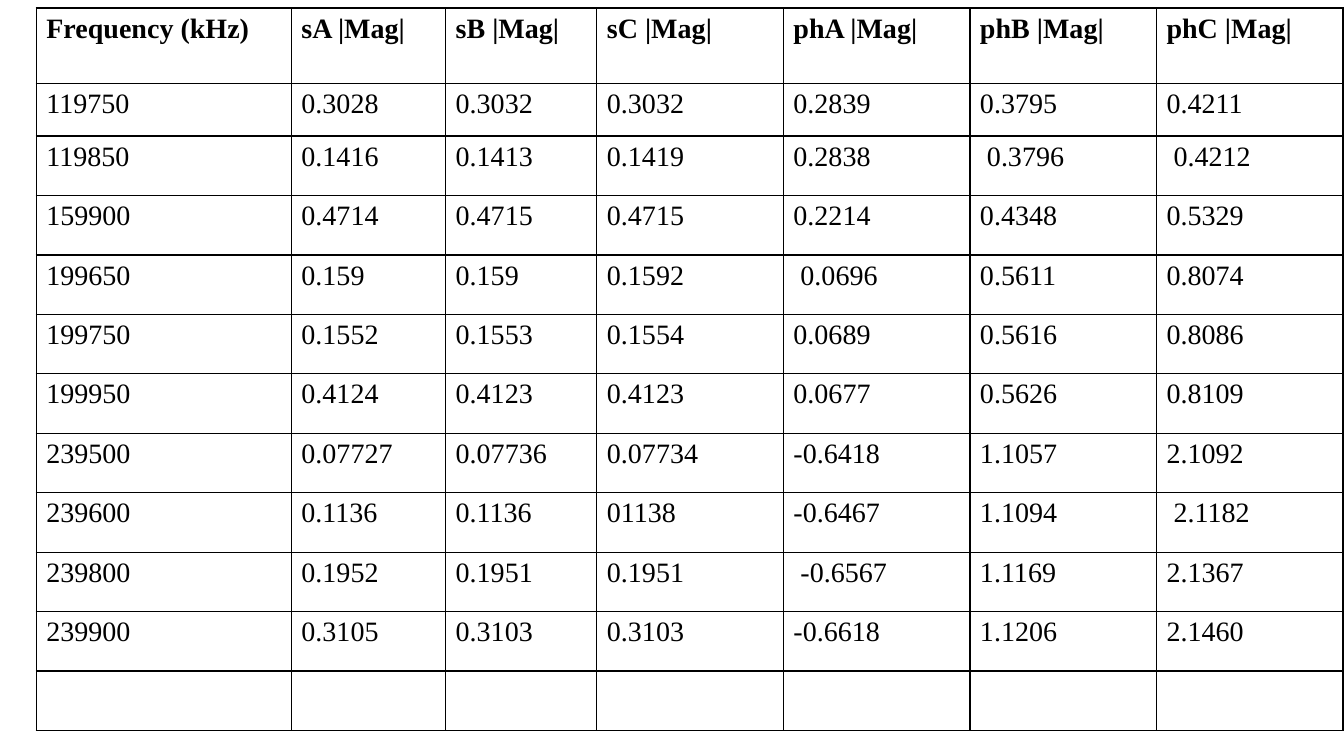
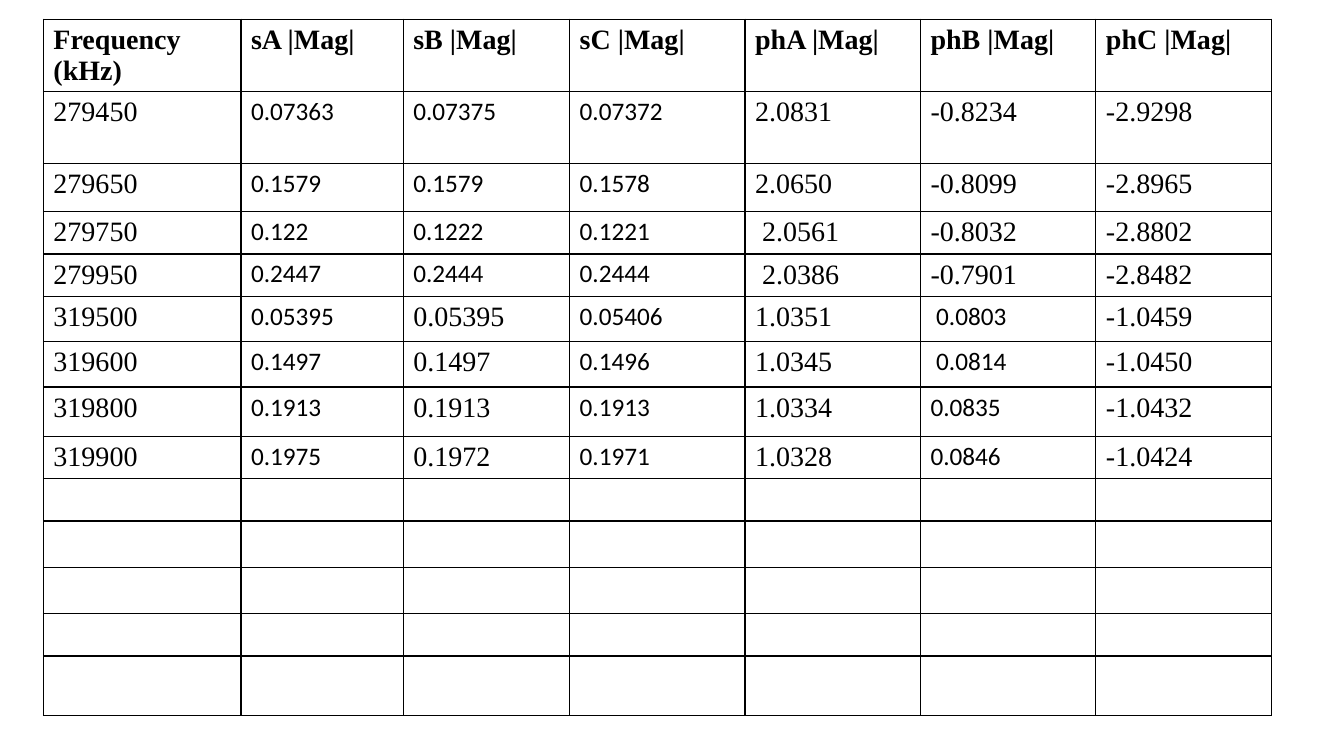
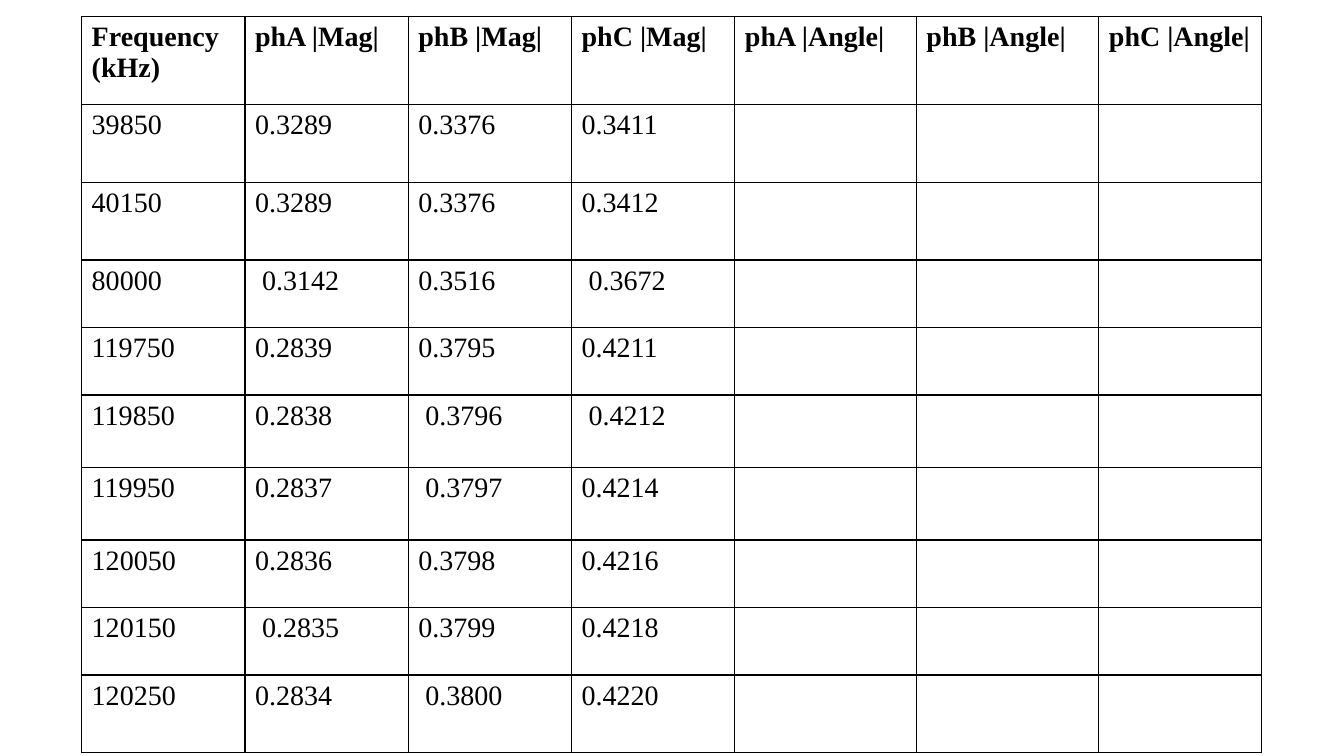
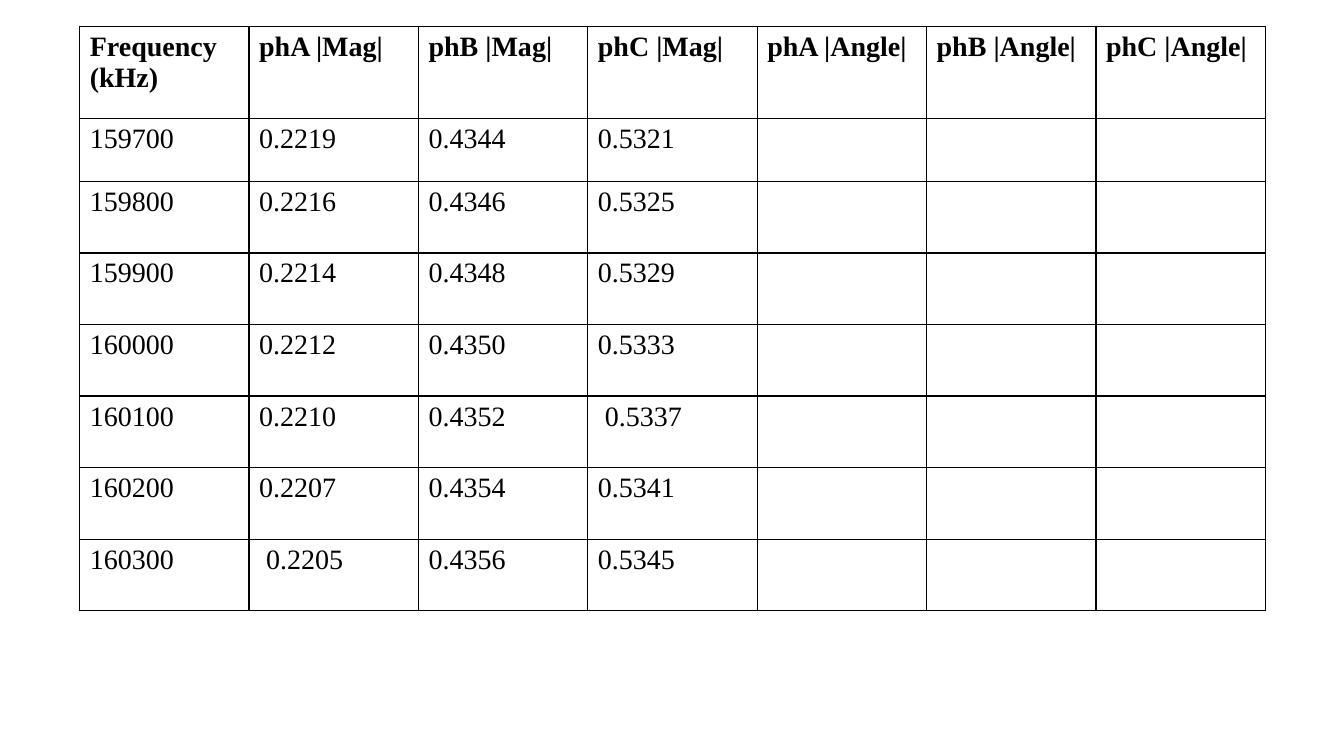
from lxml import etree
from pptx import Presentation
from pptx.dml.color import RGBColor
from pptx.oxml.ns import qn
from pptx.util import Inches, Pt

BLACK = "000000"
SERIF = ("Times New Roman", 20)
SANS = ("Calibri", 18)
BORDER_WIDTH = Pt(1)

SIGNAL_HEADINGS = "sA |Mag|,sB |Mag|,sC |Mag|,phA |Mag|,phB |Mag|,phC |Mag|"
PHASE_HEADINGS = "phA |Mag|,phB |Mag|,phC |Mag|,phA |Angle|,phB |Angle|,phC |Angle|"

SIGNALS_TO_240 = [
    "Frequency (kHz)," + SIGNAL_HEADINGS,
    "119750,0.3028,0.3032,0.3032,0.2839,0.3795,0.4211",
    "119850,0.1416,0.1413,0.1419,0.2838, 0.3796, 0.4212",
    "159900,0.4714,0.4715,0.4715,0.2214,0.4348,0.5329",
    "199650,0.159,0.159,0.1592, 0.0696,0.5611,0.8074",
    "199750,0.1552,0.1553,0.1554,0.0689,0.5616,0.8086",
    "199950,0.4124,0.4123,0.4123,0.0677,0.5626,0.8109",
    "239500,0.07727,0.07736,0.07734,-0.6418,1.1057,2.1092",
    "239600,0.1136,0.1136,01138,-0.6467,1.1094, 2.1182",
    "239800,0.1952,0.1951,0.1951, -0.6567,1.1169,2.1367",
    "239900,0.3105,0.3103,0.3103,-0.6618,1.1206,2.1460",
]
SIGNALS_TO_320 = [
    "Frequency\n(kHz)," + SIGNAL_HEADINGS,
    "279450,0.07363,0.07375,0.07372,2.0831,-0.8234,-2.9298",
    "279650,0.1579,0.1579,0.1578,2.0650,-0.8099,-2.8965",
    "279750,0.122,0.1222,0.1221, 2.0561,-0.8032,-2.8802",
    "279950,0.2447,0.2444,0.2444, 2.0386,-0.7901,-2.8482",
    "319500,0.05395,0.05395,0.05406,1.0351, 0.0803,-1.0459",
    "319600,0.1497,0.1497,0.1496,1.0345, 0.0814,-1.0450",
    "319800,0.1913,0.1913,0.1913,1.0334,0.0835,-1.0432",
    "319900,0.1975,0.1972,0.1971,1.0328,0.0846,-1.0424",
]
PHASES_TO_120 = [
    "Frequency\n(kHz)," + PHASE_HEADINGS,
    "39850,0.3289,0.3376,0.3411",
    "40150,0.3289,0.3376,0.3412",
    "80000, 0.3142,0.3516, 0.3672",
    "119750,0.2839,0.3795,0.4211",
    "119850,0.2838, 0.3796, 0.4212",
    "119950,0.2837, 0.3797,0.4214",
    "120050,0.2836,0.3798,0.4216",
    "120150, 0.2835,0.3799,0.4218",
    "120250,0.2834, 0.3800,0.4220",
]
PHASES_TO_160 = [
    "Frequency\n(kHz)," + PHASE_HEADINGS,
    "159700,0.2219,0.4344,0.5321",
    "159800,0.2216,0.4346,0.5325",
    "159900,0.2214,0.4348,0.5329",
    "160000,0.2212,0.4350,0.5333",
    "160100,0.2210,0.4352, 0.5337",
    "160200,0.2207,0.4354,0.5341",
    "160300, 0.2205,0.4356,0.5345",
]


def color(hex_string):
    return RGBColor.from_string(hex_string)


def style_cell(cell):
    """Give the cell a thin border on every side and no fill."""
    properties = cell._tc.get_or_add_tcPr()
    for side in ("lnL", "lnR", "lnT", "lnB"):
        line = etree.SubElement(properties, qn(f"a:{side}"), w=str(BORDER_WIDTH))
        fill = etree.SubElement(line, qn("a:solidFill"))
        etree.SubElement(fill, qn("a:srgbClr"), val=BLACK)
    cell.fill.background()


def write_cell(cell, text, typeface, bold):
    frame = cell.text_frame
    for index, line in enumerate(text.split("\n")):
        paragraph = frame.add_paragraph() if index else frame.paragraphs[0]
        run = paragraph.add_run()
        run.text = line
        run.font.name, size = typeface
        run.font.size = Pt(size)
        run.font.bold = bold
        run.font.color.rgb = color(BLACK)


def all_serif(row, column):
    return SERIF


def mixed_typeface(row, column):
    """Sans for the signal columns at 279 MHz and for alternate columns at 319 MHz."""
    sans_columns = () if row == 0 else (1, 2, 3) if row <= 4 else (1, 3, 5)
    return SANS if column in sans_columns else SERIF


def add_table_slide(presentation, left, top, widths, heights, lines, typeface_at=all_serif):
    """Add a slide with one table; rows and cells without text stay empty."""
    slide = presentation.slides.add_slide(presentation.slide_layouts[6])
    table = slide.shapes.add_table(
        len(heights), len(widths), Inches(left), Inches(top),
        Inches(sum(widths)), Inches(sum(heights))).table
    table.first_row = table.horz_banding = False
    for column, width in zip(table.columns, widths):
        column.width = Inches(width)
    for row, height in zip(table.rows, heights):
        row.height = Inches(height)
    for cell in table.iter_cells():
        style_cell(cell)
    for row, line in enumerate(lines):
        for column, text in enumerate(line.split(",")):
            write_cell(table.cell(row, column), text, typeface_at(row, column), row == 0)


def main():
    presentation = Presentation()
    presentation.slide_width = Inches(13.33)
    presentation.slide_height = Inches(7.5)
    add_table_slide(presentation, 0.36, 0.08, [2.53, 1.53, 1.5] + [1.85] * 4,
                    [0.75, 0.52] + [0.59] * 10, SIGNALS_TO_240)
    add_table_slide(presentation, 0.43, 0.19, [1.96, 1.61, 1.65] + [1.74] * 4,
                    [0.72, 0.71, 0.48, 0.42, 0.42, 0.45, 0.45, 0.49,
                     0.42, 0.42, 0.46, 0.46, 0.42, 0.59],
                    SIGNALS_TO_320, mixed_typeface)
    add_table_slide(presentation, 0.81, 0.16, [1.62] * 4 + [1.8, 1.81, 1.61],
                    [0.88, 0.77, 0.77, 0.67, 0.67, 0.72, 0.72, 0.67, 0.67, 0.77],
                    PHASES_TO_120)
    add_table_slide(presentation, 0.79, 0.26, [1.68] * 7,
                    [0.92, 0.62] + [0.71] * 6, PHASES_TO_160)
    presentation.save("out.pptx")


if __name__ == "__main__":
    main()
